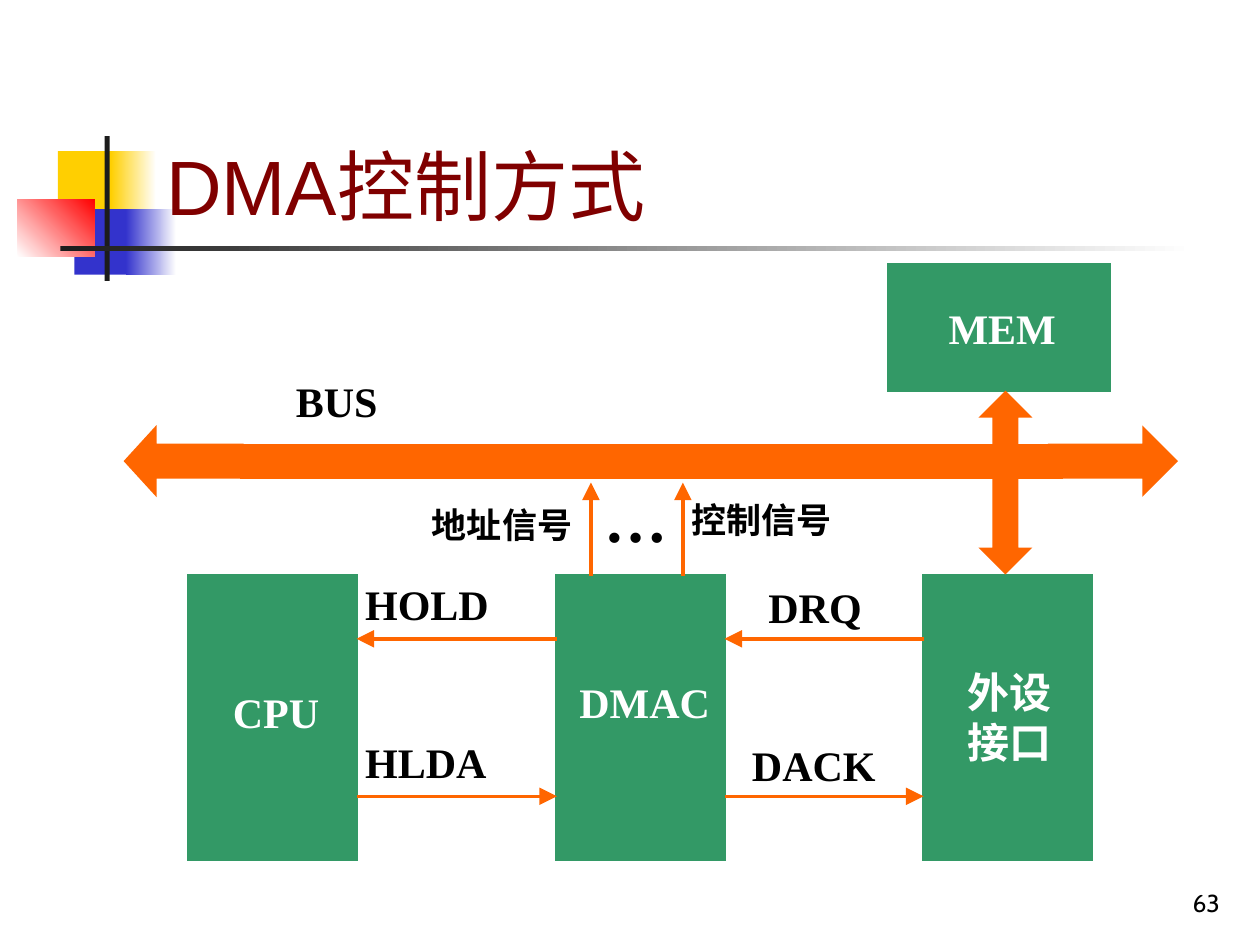
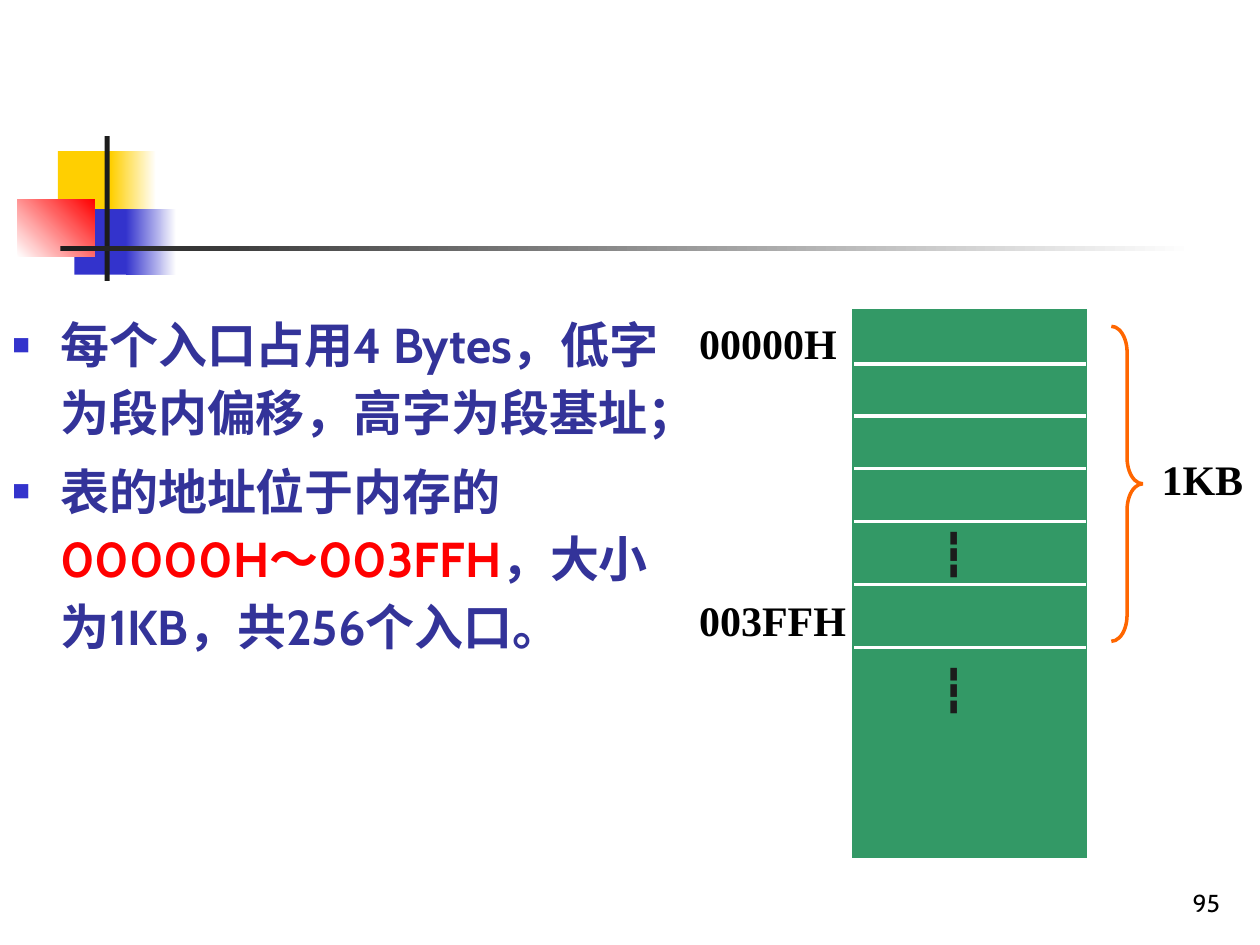
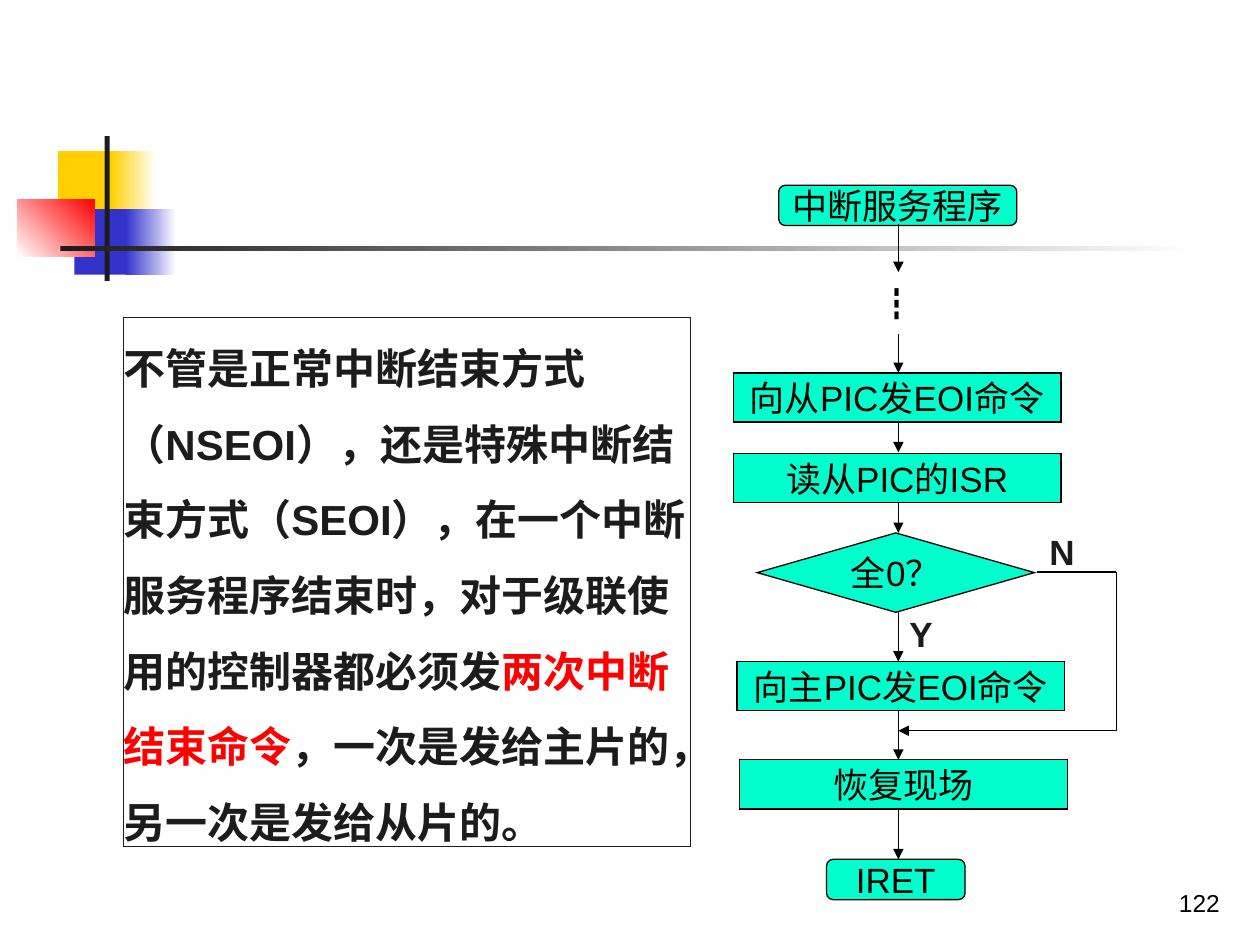
from lxml import etree
from pptx import Presentation
from pptx.dml.color import RGBColor
from pptx.enum.shapes import MSO_CONNECTOR, MSO_SHAPE
from pptx.enum.text import MSO_ANCHOR, PP_ALIGN
from pptx.oxml.ns import qn
from pptx.util import Inches, Pt

RECT = MSO_SHAPE.RECTANGLE
PROCESS = MSO_SHAPE.FLOWCHART_PROCESS
TERMINAL = MSO_SHAPE.FLOWCHART_ALTERNATE_PROCESS
DECISION = MSO_SHAPE.FLOWCHART_DECISION
UP_DOWN = MSO_SHAPE.UP_DOWN_ARROW
LEFT_ARROW = MSO_SHAPE.LEFT_ARROW
RIGHT_ARROW = MSO_SHAPE.RIGHT_ARROW
BRACE = MSO_SHAPE.RIGHT_BRACE
STRAIGHT = MSO_CONNECTOR.STRAIGHT
TOP, MIDDLE, BOTTOM = MSO_ANCHOR.TOP, MSO_ANCHOR.MIDDLE, MSO_ANCHOR.BOTTOM
LEFT, CENTER, RIGHT = PP_ALIGN.LEFT, PP_ALIGN.CENTER, PP_ALIGN.RIGHT

BLACK, WHITE, INK, RED = "000000", "FFFFFF", "1C1C1C", "FF0000"
YELLOW, BLUE, NAVY, MAROON = "FFCF01", "3333CC", "333399", "800000"
GREEN, ORANGE, MINT = "339966", "FF6600", "00FFCC"
SANS, SERIF, HUMANIST, CJK = "Arial", "Times New Roman", "Cabin", "Noto Sans CJK SC"


def color(value):
    return RGBColor.from_string(value)


def add_xml(parent, tag, **attributes):
    return etree.SubElement(parent, qn(tag), attributes)


def add_span(para, text, *, size=24, font=SERIF, ink=BLACK, bold=False):
    span = para.add_run()
    span.text = text
    span.font.size = Pt(size)
    span.font.name = font
    span.font.bold = bold
    span.font.color.rgb = color(ink)
    add_xml(span._r.get_or_add_rPr(), "a:ea", typeface=CJK)


class Deck:
    def __init__(self):
        self.show = Presentation()
        self.show.slide_width = Inches(10)
        self.show.slide_height = Inches(7.5)
        self.page = None

    def new_page(self, number, font=HUMANIST):
        """Start a page with the shared ornament and page number."""
        self.page = self.show.slides.add_slide(self.show.slide_layouts[6])
        self.block(0.46, 1.2, 0.48, 0.52, YELLOW)
        self.block(0.88, 1.2, 0.36, 0.52, (YELLOW, WHITE))
        self.block(0.59, 1.66, 0.46, 0.52, BLUE)
        self.block(1, 1.66, 0.4, 0.52, (BLUE, WHITE))
        self.block(0.14, 1.58, 0.61, 0.46, (WHITE, RED), angle=45)
        self.block(0.83, 1.08, 0.04, 1.15, INK)
        self.block(0.48, 1.95, 9, 0.04, (INK, WHITE))
        self.label(str(number), 7.7, 6.83, 2.08, align=RIGHT, anchor=BOTTOM,
                   size=14, font=font)

    def block(self, left, top, width, height, fill=None, *, shape=RECT,
              line=None, weight=2, angle=0, adjust=()):
        """Draw a preset shape; a pair of fill colours makes a gradient."""
        box = self.page.shapes.add_shape(
            shape, Inches(left), Inches(top), Inches(width), Inches(height))
        box.shadow.inherit = False
        for index, value in enumerate(adjust):
            box.adjustments[index] = value
        if fill is None:
            box.fill.background()
        elif isinstance(fill, tuple):
            box.fill.gradient()
            box.fill.gradient_angle = angle
            for stop, value in zip(box.fill.gradient_stops, fill):
                stop.color.rgb = color(value)
        else:
            box.fill.solid()
            box.fill.fore_color.rgb = color(fill)
        if line:
            box.line.color.rgb = color(line)
            box.line.width = Pt(weight)
            add_xml(box.element.spPr.find(qn("a:ln")), "a:miter", lim="800000")
        else:
            box.line.fill.background()
        return box

    def solid(self, left, top, width, height, fill, **options):
        return self.block(left, top, width, height, fill, line=fill, **options)

    def frame(self, box, *, anchor=TOP, wrap=True, inset=True):
        frame = box.text_frame
        frame.word_wrap = wrap
        frame.vertical_anchor = anchor
        if not inset:
            frame.margin_left = frame.margin_right = 0
            frame.margin_top = frame.margin_bottom = 0
        return frame

    def text_box(self, left, top, width, height, **options):
        box = self.page.shapes.add_textbox(
            Inches(left), Inches(top), Inches(width), Inches(height))
        return self.frame(box, **options)

    def label(self, text, left, top, width, height=0.5, *, align=LEFT,
              anchor=TOP, inset=True, **style):
        frame = self.text_box(left, top, width, height, anchor=anchor, inset=inset)
        for index, line in enumerate(text.split("\n")):
            para = frame.add_paragraph() if index else frame.paragraphs[0]
            para.alignment = align
            add_span(para, line, **style)

    def step(self, text, left, top, width, height, shape=PROCESS):
        """Draw a flowchart node with centred text."""
        box = self.block(left, top, width, height, MINT, shape=shape,
                         line=BLACK, weight=0.75)
        para = self.frame(box, anchor=MIDDLE, wrap=False, inset=False).paragraphs[0]
        para.alignment = CENTER
        add_span(para, text, size=20, font=SANS)

    def line(self, x1, y1, x2, y2, ink=BLACK, weight=0.75, arrow="med"):
        """Draw a line; arrow is the size of the head at its end, or None."""
        link = self.page.shapes.add_connector(
            STRAIGHT, Inches(x1), Inches(y1), Inches(x2), Inches(y2))
        link.line.color.rgb = color(ink)
        link.line.width = Pt(weight)
        properties = link.element.spPr
        if arrow:
            add_xml(properties.find(qn("a:ln")), "a:tailEnd",
                    type="triangle", w=arrow, len=arrow)
        add_xml(properties, "a:effectLst")

    def signal(self, x1, y1, x2, y2):
        self.line(x1, y1, x2, y2, ORANGE, 2, arrow="lg")

    def bullet(self, para):
        properties = para._p.get_or_add_pPr()
        indent = Inches(0.38)
        properties.set("marL", str(indent))
        properties.set("indent", str(-indent))
        add_xml(add_xml(properties, "a:buClr"), "a:srgbClr", val=BLUE)
        add_xml(properties, "a:buSzPct", val="60000")
        add_xml(properties, "a:buFont", typeface=SANS)
        add_xml(properties, "a:buChar", char="■")


def dma_page(deck):
    deck.new_page(63)
    deck.label("DMA控制方式", 1.22, 0.28, 8.52, 1.6, anchor=BOTTOM,
               size=44, font=SANS, ink=MAROON)

    # Units and the bus
    for left in (1.5, 4.42, 7.33):
        deck.solid(left, 4.57, 1.33, 2.25, GREEN)
    deck.solid(7.05, 2.1, 1.75, 1, GREEN)
    deck.solid(7.8, 3.12, 0.36, 1.42, ORANGE, shape=UP_DOWN, adjust=(0.776, 0.5))
    deck.solid(1, 3.41, 0.92, 0.5, ORANGE, shape=LEFT_ARROW, adjust=(0.5, 0.457))
    deck.solid(8.33, 3.41, 1, 0.5, ORANGE, shape=RIGHT_ARROW, adjust=(0.5, 0.5))
    deck.solid(1.92, 3.54, 6.5, 0.25, ORANGE)

    # Signals
    for left, right in ((2.83, 4.42), (5.75, 7.33)):
        deck.signal(right, 5.07, left, 5.07)
        deck.signal(left, 6.32, right, 6.32)
    for x in (4.69, 5.42):
        deck.signal(x, 4.57, x, 3.83)

    # Names of units and signals
    for text, left, top, width in (
            ("CPU", 1.75, 5.4, 1.17), ("DMAC", 4.5, 5.32, 1.38),
            ("外设\n接口", 7.58, 5.24, 0.92), ("MEM", 7.43, 2.35, 1.38)):
        deck.label(text, left, top, width, ink=WHITE, bold=True)
    for text, left, top, size in (
            ("BUS", 2.25, 2.93, 24), ("HOLD", 2.8, 4.54, 24),
            ("HLDA", 2.8, 5.8, 24), ("DRQ", 6, 4.57, 24),
            ("DACK", 5.87, 5.82, 24), ("…", 4.7, 3.76, 36),
            ("地址信号", 3.33, 3.95, 20), ("控制信号", 5.39, 3.91, 20)):
        deck.label(text, left, top, 1.67, size=size, bold=True)


def vector_table_page(deck):
    deck.new_page(95)

    # Memory map
    deck.solid(6.78, 2.47, 1.83, 4.33, GREEN)
    for y in (2.89, 3.3, 3.72, 4.14, 4.64, 5.14):
        deck.line(6.78, y, 8.62, y, WHITE, 2, arrow=None)
    for top in (4.14, 5.22):
        deck.label("┇", 7.37, top, 0.58, ink=INK, bold=True)
    deck.label("00000H", 5.45, 2.47, 1.5, bold=True)
    deck.label("003FFH", 5.45, 4.67, 1.5, bold=True)
    deck.block(8.82, 2.59, 0.25, 2.5, shape=BRACE, line=ORANGE, adjust=(0.828, 0.5))
    deck.label("1KB", 9.12, 3.55, 0.88, bold=True)

    # Explanation
    points = (
        (("每个入口占用4 Bytes，低字为段内偏移，高字为段基址；", NAVY),),
        (("表的地址位于内存的", NAVY), ("00000H～003FFH", RED),
         ("，大小为1KB，共256个入口。", NAVY)))
    frame = deck.text_box(0, 2.38, 5.45, 3.58)
    for index, spans in enumerate(points):
        para = frame.add_paragraph() if index else frame.paragraphs[0]
        deck.bullet(para)
        para.line_spacing = 1.15
        para.space_before = Pt(5 if index else 0)
        para.space_after = Pt(1.4)
        for text, ink in spans:
            add_span(para, text, size=28, font=HUMANIST, ink=ink, bold=True)


def interrupt_end_page(deck):
    deck.new_page(122, font=SANS)

    # Flowchart
    axis, bypass = 7.13, 8.86
    deck.step("中断服务程序", 6.18, 1.47, 1.89, 0.32, TERMINAL)
    deck.step("向从PIC发EOI命令", 5.82, 2.96, 2.6, 0.39)
    deck.step("读从PIC的ISR", 5.82, 3.6, 2.6, 0.39)
    deck.step("全0？", 6.01, 4.23, 2.2, 0.63, DECISION)
    deck.step("向主PIC发EOI命令", 5.85, 5.25, 2.6, 0.39)
    deck.step("恢复现场", 5.87, 6.03, 2.6, 0.39)
    deck.step("IRET", 6.56, 6.82, 1.1, 0.32, TERMINAL)
    for start, end in ((1.78, 2.16), (2.65, 2.96), (3.36, 3.59), (3.99, 4.23),
                       (4.86, 5.25), (5.64, 6.03), (6.43, 6.82)):
        deck.line(axis, start, axis, end)
    deck.line(8.23, 4.54, bypass, 4.54, arrow=None)
    deck.line(bypass, 4.54, bypass, 5.8, arrow=None)
    deck.line(bypass, 5.8, axis, 5.8)
    deck.label("┇", 6.98, 2.24, 0.32, 0.33, inset=False, size=20, font=CJK, bold=True)
    for text, left, top in (("Y", 7.19, 4.86), ("N", 8.31, 4.21)):
        deck.label(text, left, top, 0.24, 0.33, align=CENTER, inset=False,
                   size=20, font=SANS, ink=INK, bold=True)

    # Explanation
    box = deck.block(0.98, 2.52, 4.5, 4.2, line=INK, weight=0.75)
    para = deck.frame(box, inset=False).paragraphs[0]
    para.alignment = LEFT
    para.line_spacing = 1.5
    for text, ink in (
            ("不管是正常中断结束方式（NSEOI），还是特殊中断结束方式（SEOI），"
             "在一个中断服务程序结束时，对于级联使用的控制器都必须发", INK),
            ("两次中断结束命令", RED),
            ("，一次是发给主片的，另一次是发给从片的。", INK)):
        add_span(para, text, font=SANS, ink=ink, bold=True)


def main():
    deck = Deck()
    dma_page(deck)
    vector_table_page(deck)
    interrupt_end_page(deck)
    deck.show.save("out.pptx")


if __name__ == "__main__":
    main()
